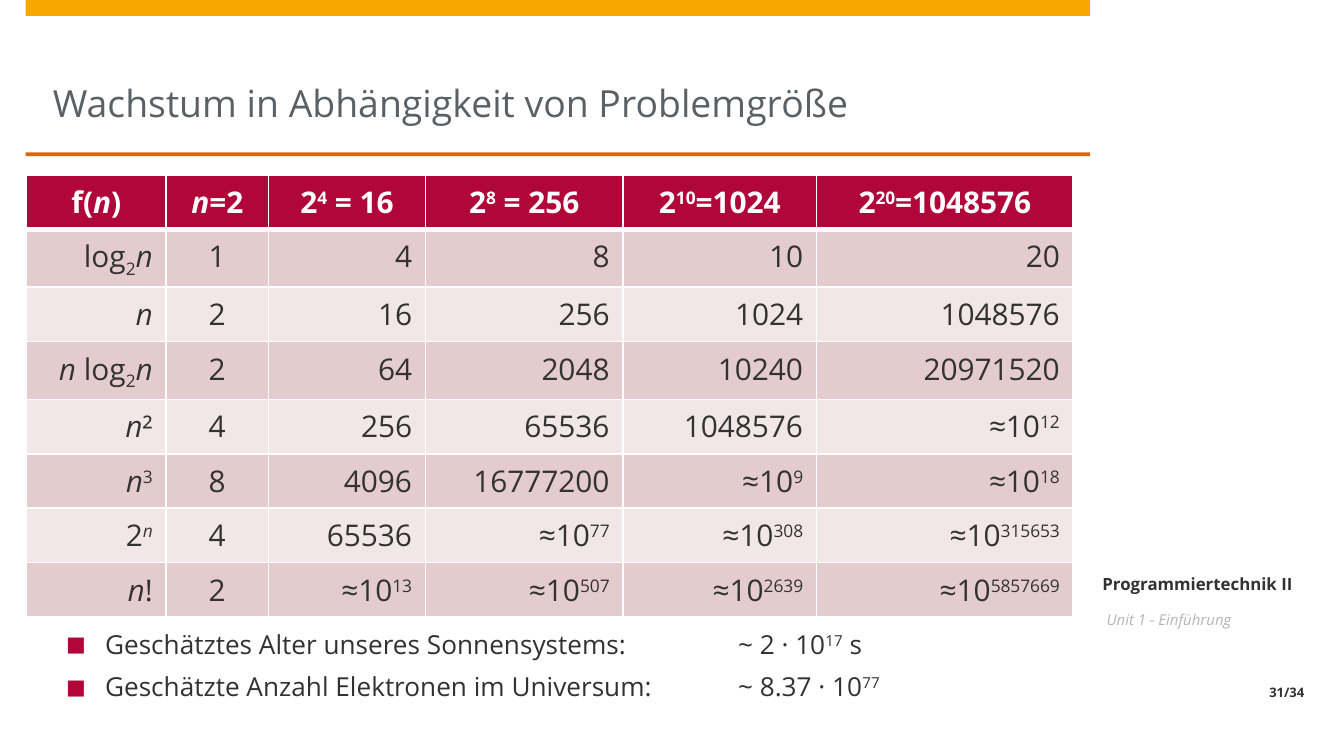
from dataclasses import dataclass

from lxml.etree import SubElement
from pptx import Presentation
from pptx.dml.color import RGBColor
from pptx.enum.shapes import MSO_SHAPE as SHAPE
from pptx.enum.text import MSO_ANCHOR as ANCHOR, MSO_AUTO_SIZE as AUTOSIZE, PP_ALIGN as ALIGN
from pptx.oxml.ns import qn
from pptx.util import Inches, Pt


@dataclass(frozen=True)
class Theme:
    font: str = "Open Sans"
    ink: str = "323232"
    title: str = "5A6166"
    muted: str = "B4B4B4"
    white: str = "FFFFFF"
    amber: str = "F6A800"
    orange: str = "DD640C"
    crimson: str = "B1063A"
    bands: tuple = ("E4CCCE", "F2E7E8")
    title_pt: int = 20
    table_pt: int = 16
    body_pt: int = 14
    course_pt: int = 9
    unit_pt: int = 8
    page_pt: int = 7


class Deck:
    """Style and current slide; boxes are (x, y, w, h) in percent of the slide."""

    def __init__(self, prs, theme):
        self.prs, self.theme = prs, theme
        self.s = prs.slides.add_slide(prs.slide_layouts[5])

    def x(self, share):
        return round(self.prs.slide_width * share / 100)

    def y(self, share):
        return round(self.prs.slide_height * share / 100)

    def box(self, x, y, w, h):
        return self.x(x), self.y(y), self.x(w), self.y(h)

    def runs(self, p, markup, size, color, bold=False, italic=False):
        """Runs are split by '|'; prefixes: ^ superscript, _ subscript, / italic."""
        for part in markup.split("|"):
            base = {"^": "30000", "_": "-25000"}.get(part[0])
            part = part[1:] if base else part
            slanted = part.startswith("/")
            r = p.add_run()
            r.text = part[1:] if slanted else part
            f = r.font
            f.name, f.size, f.bold, f.italic = self.theme.font, Pt(size), bold, italic or slanted
            f.color.rgb = RGBColor.from_string(color)
            if base:
                f._element.set("baseline", base)

    def frame(self, tf, insets, anchor):
        tf.word_wrap, tf.auto_size, tf.vertical_anchor = True, AUTOSIZE.NONE, anchor
        tf.margin_left, tf.margin_top, tf.margin_right, tf.margin_bottom = map(Inches, insets)

    def title(self, text, box):
        sp = self.s.shapes.title
        sp.left, sp.top, sp.width, sp.height = self.box(*box)
        self.frame(sp.text_frame, (0, 0, 0, 0.2), ANCHOR.BOTTOM)
        p = sp.text_frame.paragraphs[0]
        p.alignment = ALIGN.LEFT
        self.runs(p, text, self.theme.title_pt, self.theme.title)

    def bar(self, box, color):
        sp = self.s.shapes.add_shape(SHAPE.RECTANGLE, *self.box(*box))
        sp.shadow.inherit = False
        sp.fill.solid()
        sp.fill.fore_color.rgb = RGBColor.from_string(color)
        sp.line.fill.background()

    def text(self, lines, box, size, color, insets=(0.1, 0.05, 0.1, 0.05), anchor=ANCHOR.TOP,
             align=ALIGN.LEFT, bullets=False, **style):
        tf = self.s.shapes.add_textbox(*self.box(*box)).text_frame
        self.frame(tf, insets, anchor)
        for i, line in enumerate(lines):
            p = tf.add_paragraph() if i else tf.paragraphs[0]
            p.alignment, p.space_before, p.space_after = align, Pt(3), Pt(3)
            if bullets:
                self.bullet(p)
            self.runs(p, line, size, color, **style)

    def bullet(self, p):
        pPr = p._p.get_or_add_pPr()
        pPr.set("marL", str(Inches(0.29)))
        pPr.set("indent", str(-Inches(0.29)))
        SubElement(SubElement(pPr, qn("a:buClr")), qn("a:srgbClr"), val=self.theme.crimson)
        SubElement(pPr, qn("a:buSzPct"), val="80000")
        SubElement(pPr, qn("a:buFont"), typeface=self.theme.font)
        SubElement(pPr, qn("a:buChar"), char="■")
        SubElement(SubElement(pPr, qn("a:tabLst")), qn("a:tab"), pos=str(Inches(5)), algn="l")

    def borders(self, cell, top, bottom):
        tcPr = cell._tc.get_or_add_tcPr()
        for side, width in (("L", 1), ("R", 1), ("T", top), ("B", bottom)):
            ln = SubElement(tcPr, qn(f"a:ln{side}"), w=str(Pt(width)))
            SubElement(SubElement(ln, qn("a:solidFill")), qn("a:srgbClr"), val=self.theme.white)

    def table(self, rows, widths, box):
        t = self.theme
        table = self.s.shapes.add_table(len(rows), len(widths), *self.box(*box)).table
        for col, width in zip(table.columns, widths):
            col.width = self.x(width)
        for i, row in enumerate(rows):
            head = i == 0
            table.rows[i].height = self.y(box[3] / len(rows))
            for j, markup in enumerate(row):
                cell = table.cell(i, j)
                self.borders(cell, 3 if i == 1 else 1, 3 if head else 1)
                cell.fill.solid()
                fill = t.crimson if head else t.bands[(i - 1) % 2]
                cell.fill.fore_color.rgb = RGBColor.from_string(fill)
                p = cell.text_frame.paragraphs[0]
                p.alignment = ALIGN.CENTER if head or j == 1 else ALIGN.RIGHT
                self.runs(p, markup, t.table_pt, t.white if head else t.ink, bold=head)


GROWTH = [
    ["f(|/n|)", "/n|=2", "2|^4| = 16", "2|^8| = 256", "2|^10|=1024", "2|^20|=1048576"],
    ["log|_2|/n", "1", "4", "8", "10", "20"],
    ["/n", "2", "16", "256", "1024", "1048576"],
    ["/n| log|_2|/n", "2", "64", "2048", "10240", "20971520"],
    ["/n|²", "4", "256", "65536", "1048576", "≈10|^12"],
    ["/n|^3", "8", "4096", "16777200", "≈10|^9", "≈10|^18"],
    ["2|^/n", "4", "65536", "≈10|^77", "≈10|^308", "≈10|^315653"],
    ["/n|!", "2", "≈10|^13", "≈10|^507", "≈10|^2639", "≈10|^5857669"],
]
ESTIMATES = [
    "Geschätztes Alter unseres Sonnensystems: \t~ 2 · 10|^17| s",
    "Geschätzte Anzahl Elektronen im Universum: \t~ 8.37 · 10|^77",
]


def main():
    prs = Presentation()
    prs.slide_width = Inches(10)
    prs.slide_height = prs.slide_width * 9 // 16
    t = Theme()
    deck = Deck(prs, t)

    # Frame bars and title
    deck.bar((1.9, 0, 79.2, 2.13), t.amber)
    deck.bar((1.9, 20.15, 79.2, 0.5), t.orange)
    deck.title("Wachstum in Abhängigkeit von Problemgröße", (3.93, 2.15, 75.2, 18))

    # Sidebar: course, unit, page
    side, width = 81.13, 16.9
    deck.text(["Programmiertechnik II"], (side, 69.33, width, 10.13), t.course_pt, t.ink,
              (0, 0, 0.1, 0.05), ANCHOR.BOTTOM, ALIGN.CENTER, bold=True)
    deck.text(["Unit 1 - Einführung"], (side, 80.8, width, 9.2), t.unit_pt, t.muted,
              (0.12, 0, 0.1, 0.05), italic=True)
    deck.text(["31/34"], (side, 89.9, width, 3.56), t.page_pt, t.ink,
              (0.12, 0, 0.1, 0.05), ANCHOR.BOTTOM, ALIGN.RIGHT, bold=True)

    # Growth table and estimates for comparison
    deck.text(ESTIMATES, (3.93, 82.2, 75.2, 12.6), t.body_pt, t.ink, bullets=True)
    deck.table(GROWTH, (10.4, 7.6, 11.7, 14.7, 14.4, 19.1), (1.97, 23.15, 77.9, 57.6))

    prs.save("out.pptx")


if __name__ == "__main__":
    main()
